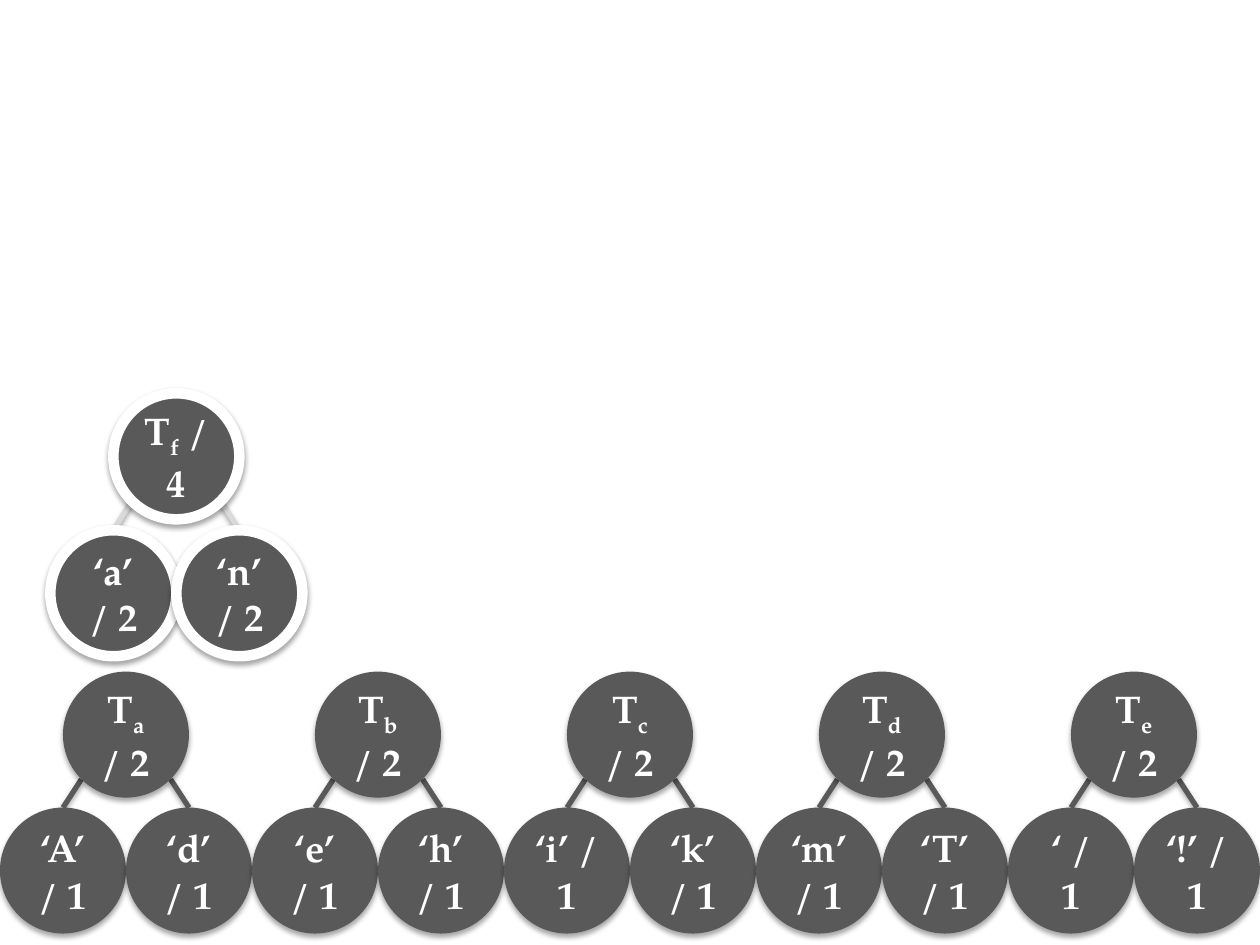
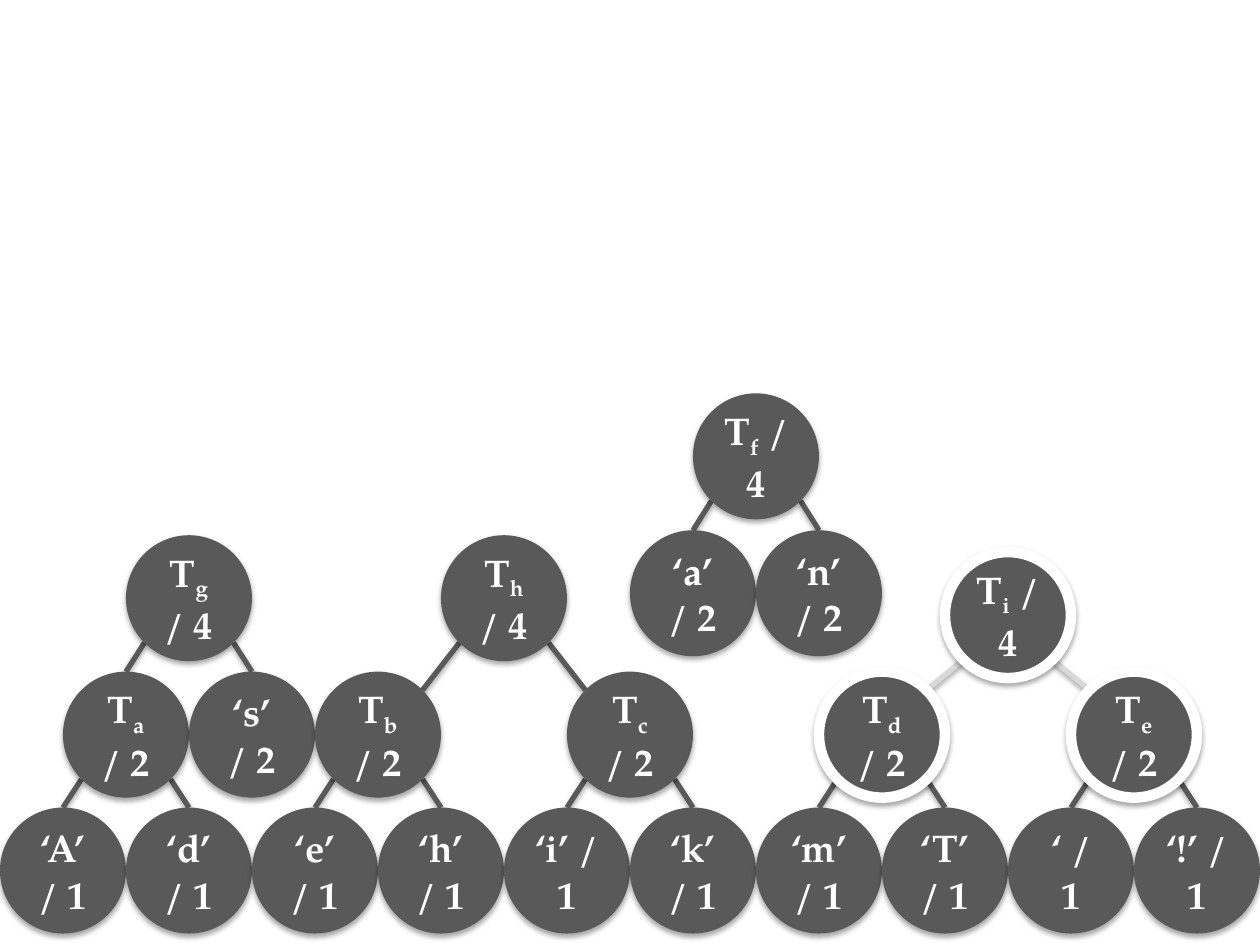
from dataclasses import dataclass, replace
from math import sqrt

from lxml.etree import SubElement
from pptx import Presentation
from pptx.dml.color import RGBColor
from pptx.enum.shapes import MSO_CONNECTOR, MSO_SHAPE
from pptx.enum.text import MSO_ANCHOR, PP_ALIGN
from pptx.oxml.ns import qn
from pptx.shapes.group import GroupShape
from pptx.slide import Slide
from pptx.util import Cm, Pt

DARK = RGBColor(0x59, 0x59, 0x59)
PALE = RGBColor(0xD9, 0xD9, 0xD9)
WHITE = RGBColor(0xFF, 0xFF, 0xFF)
BLACK = RGBColor(0x00, 0x00, 0x00)
FONT = "TeX Gyre Pagella"

DIAMETER = 2.54
RADIUS = DIAMETER / 2
DIAGONAL = RADIUS / sqrt(2)

# Tops of the tree levels, in centimetres.
LEAF_TOP = 16.28
PAIR_TOP = 13.54
JOINT_TOP = 10.79
RAISED_LEAF_TOP = 10.69
RAISED_PAIR_TOP = 7.93
NEW_JOINT_TOP = 11.13


@dataclass(frozen=True)
class Node:
    """A tree node; column is its centre in node diameters, top is in cm."""
    name: str
    subscript: str
    weight: int
    column: float
    top: float
    children: tuple["Node", ...] = ()
    highlighted: bool = False

    @property
    def center(self) -> float:
        """Horizontal centre in cm."""
        return self.column * DIAMETER


def leaf(name: str, weight: int, column: float, top: float = LEAF_TOP) -> Node:
    """Make a node for one character."""
    return Node(name, "", weight, column, top)


def joint(subscript: str, weight: int, column: float, top: float, *children: Node) -> Node:
    """Make an inner node T with a subscript."""
    return Node("T", subscript, weight, column, top, children)


def pair(subscript: str, left: str, right: str, column: float) -> Node:
    """Make a bottom tree that joins two characters of weight 1."""
    return joint(subscript, 2, column, PAIR_TOP,
                 leaf(left, 1, column - 0.5), leaf(right, 1, column + 0.5))


def raised_pair(column: float) -> Node:
    """Make the tree that joins the characters a and n."""
    return joint("f", 4, column, RAISED_PAIR_TOP,
                 leaf("‘a’", 2, column - 0.5, RAISED_LEAF_TOP),
                 leaf("‘n’", 2, column + 0.5, RAISED_LEAF_TOP))


def highlight(node: Node) -> Node:
    """Return the node and its direct children highlighted."""
    children = tuple(replace(child, highlighted=True) for child in node.children)
    return replace(node, children=children, highlighted=True)


def add_shadow(shape) -> None:
    """Give a shape or connector the soft shadow below it."""
    effects = SubElement(shape.element.spPr, qn("a:effectLst"))
    shadow = SubElement(effects, qn("a:outerShdw"), blurRad=str(Pt(3.1)),
                        dist=str(Pt(1.8)), dir="5400000", rotWithShape="0")
    color = SubElement(shadow, qn("a:srgbClr"), val=str(BLACK))
    SubElement(color, qn("a:alpha"), val="35000")


def add_link(group: GroupShape, parent: Node, child: Node) -> None:
    """Join a child to the lower side of its parent."""
    side = 1 if child.column > parent.column else -1
    start_x, start_y = child.center, child.top
    if abs(child.column - parent.column) > 0.5:
        start_x -= side * DIAGONAL
        start_y += RADIUS - DIAGONAL
    link = group.shapes.add_connector(
        MSO_CONNECTOR.STRAIGHT, Cm(start_x), Cm(start_y),
        Cm(parent.center + side * DIAGONAL), Cm(parent.top + RADIUS + DIAGONAL))
    link.line.color.rgb = PALE if parent.highlighted and child.highlighted else DARK
    link.line.width = Pt(3)
    add_shadow(link)


def add_circle(group: GroupShape, node: Node) -> None:
    """Draw a node as a labelled circle."""
    circle = group.shapes.add_shape(
        MSO_SHAPE.OVAL, Cm(node.center - RADIUS), Cm(node.top), Cm(DIAMETER), Cm(DIAMETER))
    circle.fill.solid()
    circle.fill.fore_color.rgb = DARK
    if node.highlighted:
        circle.line.color.rgb = WHITE
        circle.line.width = Pt(6)
    else:
        circle.line.fill.background()
    add_shadow(circle)

    text_frame = circle.text_frame
    text_frame.word_wrap = True
    text_frame.vertical_anchor = MSO_ANCHOR.MIDDLE
    paragraph = text_frame.paragraphs[0]
    paragraph.alignment = PP_ALIGN.CENTER
    weight = f" / {node.weight}"
    parts = (node.name, node.subscript, weight) if node.subscript else (node.name + weight,)
    for index, text in enumerate(parts):
        run = paragraph.add_run()
        run.text = text
        run.font.name = FONT
        run.font.size = Pt(22)
        run.font.bold = True
        run.font.color.rgb = WHITE
        if index == 1:
            run.font._element.set("baseline", "-25000")


def draw_tree(group: GroupShape, node: Node) -> None:
    """Draw the links, then the subtrees, then the root."""
    for child in node.children:
        add_link(group, node, child)
    for child in node.children:
        draw_tree(group, child)
    add_circle(group, node)


def draw_forest(slide: Slide, trees: list[Node]) -> None:
    """Draw every tree as a group."""
    for tree in trees:
        draw_tree(slide.shapes.add_group_shape(), tree)


def main() -> None:
    """Build two steps of the tree construction."""
    presentation = Presentation()
    presentation.slide_width = Cm(25.4)
    presentation.slide_height = Cm(19.05)
    blank_layout = presentation.slide_layouts[6]

    letters = [("a", "‘A’", "‘d’"), ("b", "‘e’", "‘h’"), ("c", "‘i’", "‘k’"),
               ("d", "‘m’", "‘T’"), ("e", "‘", "‘!’")]
    pairs = [pair(*names, column=1 + 2 * index) for index, names in enumerate(letters)]
    tree_a, tree_b, tree_c, tree_d, tree_e = pairs

    first_step = [*pairs, highlight(raised_pair(1.4))]
    second_step = [
        joint("g", 4, 1.5, JOINT_TOP, tree_a, leaf("‘s’", 2, 2, PAIR_TOP)),
        raised_pair(6),
        joint("h", 4, 4, JOINT_TOP, tree_b, tree_c),
        highlight(joint("i", 4, 8, NEW_JOINT_TOP, tree_d, tree_e)),
    ]
    for trees in (first_step, second_step):
        draw_forest(presentation.slides.add_slide(blank_layout), trees)
    presentation.save("out.pptx")


main()
